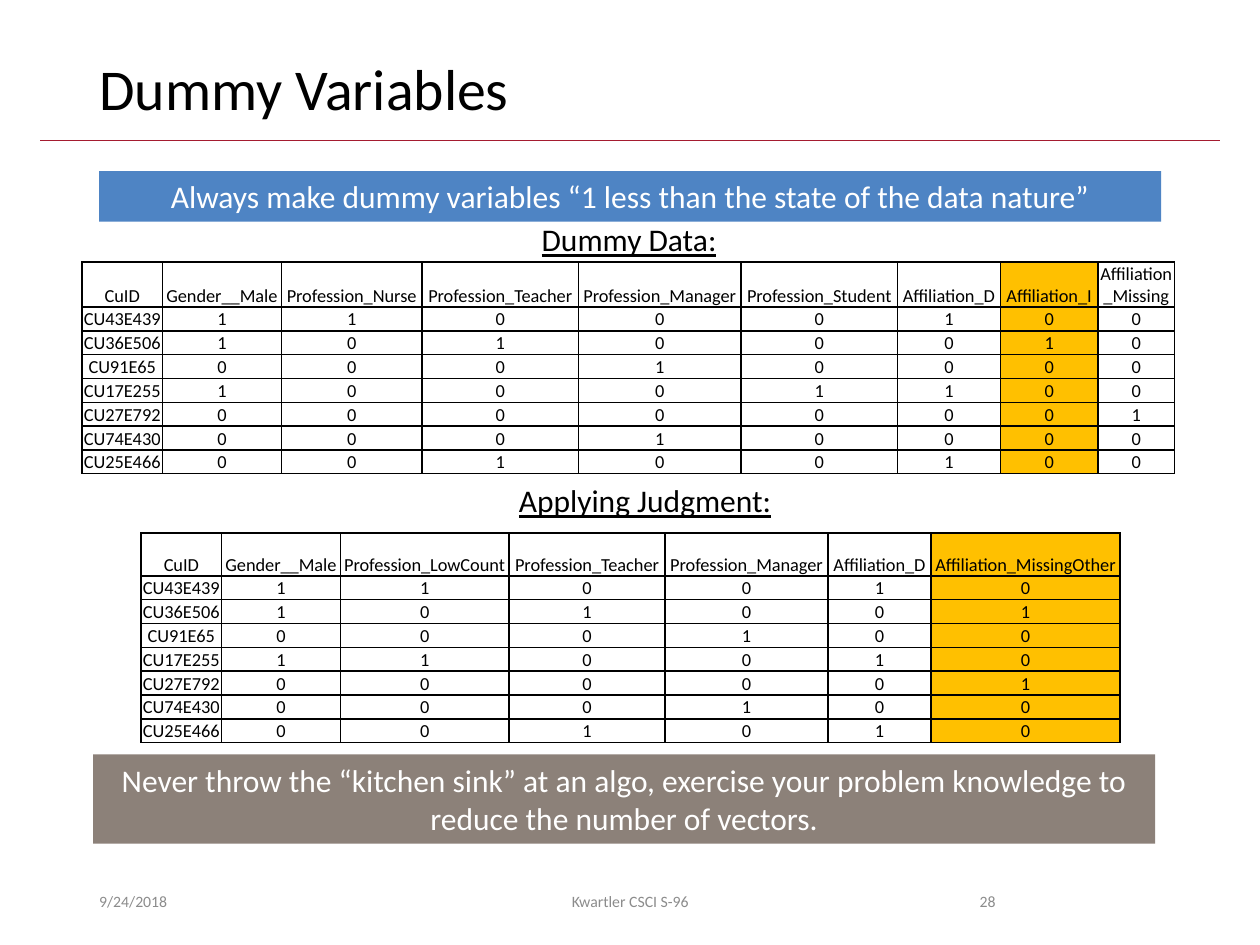
import pptx
import pptx.util
import pptx.dml.color
import pptx.enum.shapes
import pptx.enum.text
import pptx.oxml
import pptx.oxml.ns

Cm = pptx.util.Cm
Pt = pptx.util.Pt
RGBColor = pptx.dml.color.RGBColor
Align = pptx.enum.text.PP_ALIGN
Anchor = pptx.enum.text.MSO_ANCHOR

BLACK = RGBColor(0x00, 0x00, 0x00)
WHITE = RGBColor(0xFF, 0xFF, 0xFF)
GREY = RGBColor(0x8C, 0x8C, 0x8C)
BLUE = RGBColor(0x4E, 0x84, 0xC4)
TAUPE = RGBColor(0x8C, 0x81, 0x79)
GOLD = RGBColor(0xFF, 0xC0, 0x00)
RED = RGBColor(0xA5, 0x1C, 0x30)

TITLE = "Dummy Variables"
BANNERS = [
    ("Always make dummy variables “1 less than the state of the data nature”",
     (2, 3.45, 21.41, 1.02), BLUE),
    ("Never throw the “kitchen sink” at an algo, exercise your problem "
     "knowledge to reduce the number of vectors.",
     (1.88, 15.21, 21.41, 1.8), TAUPE),
]
LABELS = [
    ("Dummy Data:", (10.67, 4.32, 4.09, 1.02)),
    ("Applying Judgment:", (10.21, 9.58, 5.82, 1.02)),
]
FOOTER = [
    ("9/24/2018", (1.75, 17.65, 5.72, 1.02), Align.LEFT),
    ("Kwartler CSCI S-96", (8.41, 17.65, 8.59, 1.02), Align.CENTER),
    ("28", (17.93, 17.65, 2.39, 1.02), Align.RIGHT),
]
WIDTHS = {
    "CuID": 1.63,
    "Gender__Male": 2.39,
    "Profession_Nurse": 2.84,
    "Profession_LowCount": 3.4,
    "Profession_Teacher": 3.15,
    "Profession_Manager": 3.28,
    "Profession_Student": 3.15,
    "Affiliation_D": 2.08,
    "Affiliation_I": 1.96,
    "Affiliation_Missing": 1.55,
    "Affiliation_MissingOther": 3.81,
}
IDS = ["CU43E439", "CU36E506", "CU91E65", "CU17E255",
       "CU27E792", "CU74E430", "CU25E466"]
TABLES = [
    {"at": (1.65, 5.28), "gold": "Affiliation_I",
     "heads": ["CuID", "Gender__Male", "Profession_Nurse",
               "Profession_Teacher", "Profession_Manager",
               "Profession_Student", "Affiliation_D", "Affiliation_I",
               "Affiliation_Missing"],
     "bits": ["11000100", "10100010", "00010000", "10001100",
              "00000001", "00010000", "00100100"]},
    {"at": (2.84, 10.74), "gold": "Affiliation_MissingOther",
     "heads": ["CuID", "Gender__Male", "Profession_LowCount",
               "Profession_Teacher", "Profession_Manager",
               "Affiliation_D", "Affiliation_MissingOther"],
     "bits": ["110010", "101001", "000100", "110010",
              "000001", "000100", "001010"]},
]
HEAD, ROW = 0.87, 0.48


def write(frame, text, size, color, align=Align.LEFT, under=None):
    para = frame.paragraphs[0]
    para.alignment = align
    run = para.add_run()
    run.text = text
    font = run.font
    font.name = "Calibri"
    font.size = Pt(size)
    font.color.rgb = color
    font.underline = under
    return para


def add_text(slide, text, box, size, color, align=Align.LEFT,
             under=None, wrap=True, anchor=Anchor.TOP):
    frame = slide.shapes.add_textbox(*map(Cm, box)).text_frame
    frame.word_wrap = wrap
    frame.vertical_anchor = anchor
    write(frame, text, size, color, align, under)


def add_bar(slide, text, box, color):
    bar = slide.shapes.add_shape(
        pptx.enum.shapes.MSO_SHAPE.RECTANGLE, *map(Cm, box))
    bar.shadow.inherit = False
    bar.fill.solid()
    bar.fill.fore_color.rgb = color
    bar.line.fill.background()
    bar.text_frame.word_wrap = True
    bar.text_frame.vertical_anchor = Anchor.MIDDLE
    write(bar.text_frame, text, 18, WHITE, Align.CENTER)


def add_edges(cell):
    props = cell._tc.get_or_add_tcPr()
    for side in "LRTB":
        props.append(pptx.oxml.parse_xml(
            f'<a:ln{side} {pptx.oxml.ns.nsdecls("a")} w="{Pt(1)}">'
            f'<a:solidFill><a:srgbClr val="{BLACK}"/></a:solidFill>'
            f'</a:ln{side}>'))


def add_grid(slide, data):
    heads = data["heads"]
    rows = [heads] + [[key, *bits] for key, bits in zip(IDS, data["bits"])]
    wide = sum(WIDTHS[name] for name in heads)
    high = HEAD + ROW * len(IDS)
    grid = slide.shapes.add_table(
        len(rows), len(heads), *map(Cm, (*data["at"], wide, high))).table
    grid.first_row = False
    grid.horz_banding = False
    for col, name in zip(grid.columns, heads):
        col.width = Cm(WIDTHS[name])
    for i, row in enumerate(rows):
        grid.rows[i].height = Cm(ROW if i else HEAD)
        for j, text in enumerate(row):
            cell = grid.cell(i, j)
            cell.margin_left = cell.margin_right = cell.margin_top = Cm(0.02)
            cell.margin_bottom = 0
            cell.vertical_anchor = Anchor.BOTTOM
            add_edges(cell)
            if heads[j] == data["gold"]:
                cell.fill.solid()
                cell.fill.fore_color.rgb = GOLD
            else:
                cell.fill.background()
            write(cell.text_frame, text, 10.5, BLACK, Align.CENTER)


def add_rule(slide):
    rule = slide.shapes.add_connector(
        pptx.enum.shapes.MSO_CONNECTOR.STRAIGHT,
        Cm(0.81), Cm(2.84), Cm(24.59), Cm(2.84))
    rule.line.color.rgb = RED
    rule.line.width = Pt(0.5)
    rule._element.spPr.append(pptx.oxml.parse_xml(
        f'<a:effectLst {pptx.oxml.ns.nsdecls("a")}/>'))


def add_title(slide):
    title = slide.shapes.title
    title.left, title.top, title.width, title.height = map(
        Cm, (1.75, 1.02, 21.9, 1.65))
    title.text_frame.vertical_anchor = Anchor.MIDDLE
    write(title.text_frame, TITLE, 33, BLACK).line_spacing = 0.9


def main():
    deck = pptx.Presentation()
    deck.slide_width, deck.slide_height = Cm(25.4), Cm(19.05)
    slide = deck.slides.add_slide(deck.slide_layouts[5])
    add_rule(slide)
    add_title(slide)
    for text, box, align in FOOTER:
        add_text(slide, text, box, 9, GREY, align, anchor=Anchor.MIDDLE)
    for text, box, color in BANNERS:
        add_bar(slide, text, box, color)
    for text, box in LABELS:
        add_text(slide, text, box, 18, BLACK, under=True, wrap=False)
    for data in TABLES:
        add_grid(slide, data)
    deck.save("out.pptx")


if __name__ == "__main__":
    main()
